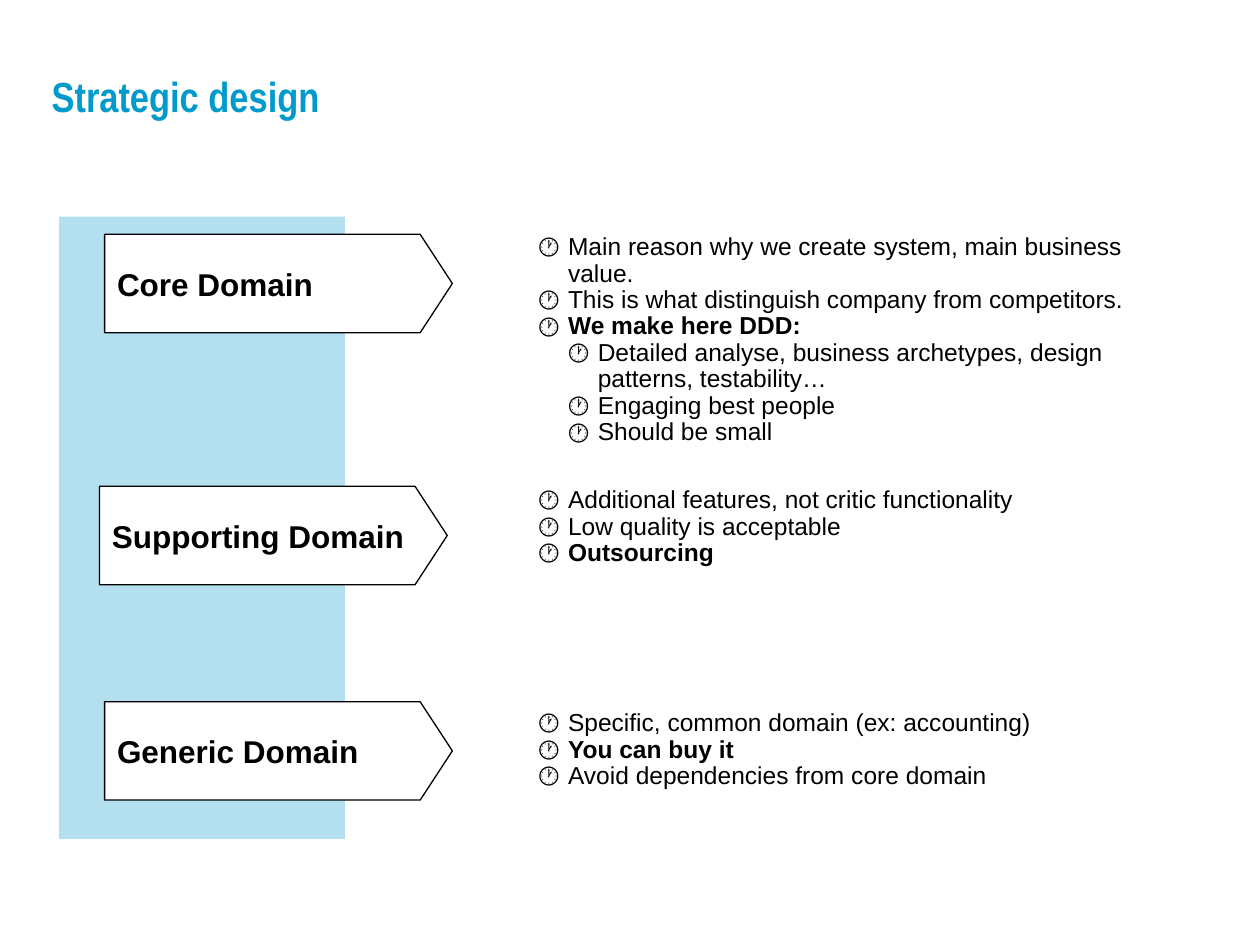
from lxml.etree import SubElement as Sub
from pptx import Presentation
from pptx.dml.color import RGBColor as RGB
from pptx.enum.shapes import MSO_SHAPE as SHAPE
from pptx.enum.text import MSO_ANCHOR as ANCHOR, MSO_AUTO_SIZE as FIT, PP_ALIGN as ALIGN
from pptx.oxml.ns import qn
from pptx.util import Pt

HUES = {"title": "009BCC", "band": "B4DFEE", "ink": "000000", "paper": "FFFFFF"}

# Per domain: name, arrow (left, top), list (top, height), items (text, level, bold)
ROWS = [
    ("Core Domain", (59.8, 133.9), (130.3, 130.3), [
        ("Main reason why we create system, main business value.", 1, False),
        ("This is what distinguish company from competitors.", 1, False),
        ("We make here DDD:", 1, True),
        ("Detailed analyse, business archetypes, design patterns, testability…", 2, False),
        ("Engaging best people", 2, False),
        ("Should be small", 2, False),
    ]),
    ("Supporting Domain", (56.9, 277.9), (275, 73.4), [
        ("Additional features, not critic functionality", 1, False),
        ("Low quality is acceptable", 1, False),
        ("Outsourcing", 1, True),
    ]),
    ("Generic Domain", (59.8, 401), (402.5, 56.9), [
        ("Specific, common domain (ex: accounting)", 1, False),
        ("You can buy it", 1, True),
        ("Avoid dependencies from core domain", 1, False),
    ]),
]


def tint(name):
    return RGB.from_string(HUES[name])


def write(para, text, size=14, bold=False, face="Arial", hue="ink"):
    para.alignment = ALIGN.LEFT
    run = para.add_run()
    run.text = text
    font = run.font
    font.size, font.bold, font.name = Pt(size), bold, face
    font.color.rgb = tint(hue)


def place(holder, box, anchor):
    holder.left, holder.top, holder.width, holder.height = map(Pt, box)
    frame = holder.text_frame
    frame.word_wrap, frame.auto_size = True, FIT.NONE
    frame.vertical_anchor = anchor
    return frame


def block(slide, kind, box, fill, line=None):
    shape = slide.shapes.add_shape(kind, *map(Pt, box))
    shape.shadow.inherit = False
    shape.fill.solid()
    shape.fill.fore_color.rgb = tint(fill)
    if line:
        shape.line.color.rgb = tint(line)
        shape.line.width = Pt(0.75)
    else:
        shape.line.fill.background()
    return shape


def title(holder, box):
    frame = place(holder, box, ANCHOR.BOTTOM)
    write(frame.paragraphs[0], "Strategic design", size=24, bold=True,
          face="Arial Narrow", hue="title")


def arrow(slide, box, name):
    shape = block(slide, SHAPE.PENTAGON, box, "paper", "ink")
    shape.adjustments[0] = 0.327
    frame = shape.text_frame
    frame.word_wrap, frame.vertical_anchor = True, ANCHOR.MIDDLE
    write(frame.paragraphs[0], name, size=18, bold=True)


def points(holder, box, items):
    frame = place(holder, box, ANCHOR.TOP)
    for i, (text, level, bold) in enumerate(items):
        para = frame.add_paragraph() if i else frame.paragraphs[0]
        para.level, para.line_spacing = level, 0.9
        para.space_before = para.space_after = Pt(0)
        write(para, text, bold=bold)
        # Clock bullet with a hanging indent
        props = para._p.get_or_add_pPr()
        props.set("marL", str(Pt(34 + 17 * level)))
        props.set("indent", str(-Pt(17)))
        Sub(props, qn("a:buChar"), char="🕐")


def main():
    deck = Presentation()
    deck.slide_width, deck.slide_height = Pt(720), Pt(540)
    slide = deck.slides.add_slide(deck.slide_layouts[4])
    head, *lists, spare = slide.placeholders
    spare.element.getparent().remove(spare.element)

    title(head, (22.3, 28.8, 534.2, 43.9))
    # Band behind the arrows
    block(slide, SHAPE.RECTANGLE, (33.8, 123.8, 163.4, 355.7), "band")
    # Domains with their notes
    for holder, (name, spot, (top, high), items) in zip(lists, ROWS):
        arrow(slide, (*spot, 198.7, 56.2), name)
        points(holder, (266.4, top, 410.4, high), items)

    deck.save("out.pptx")


if __name__ == "__main__":
    main()
